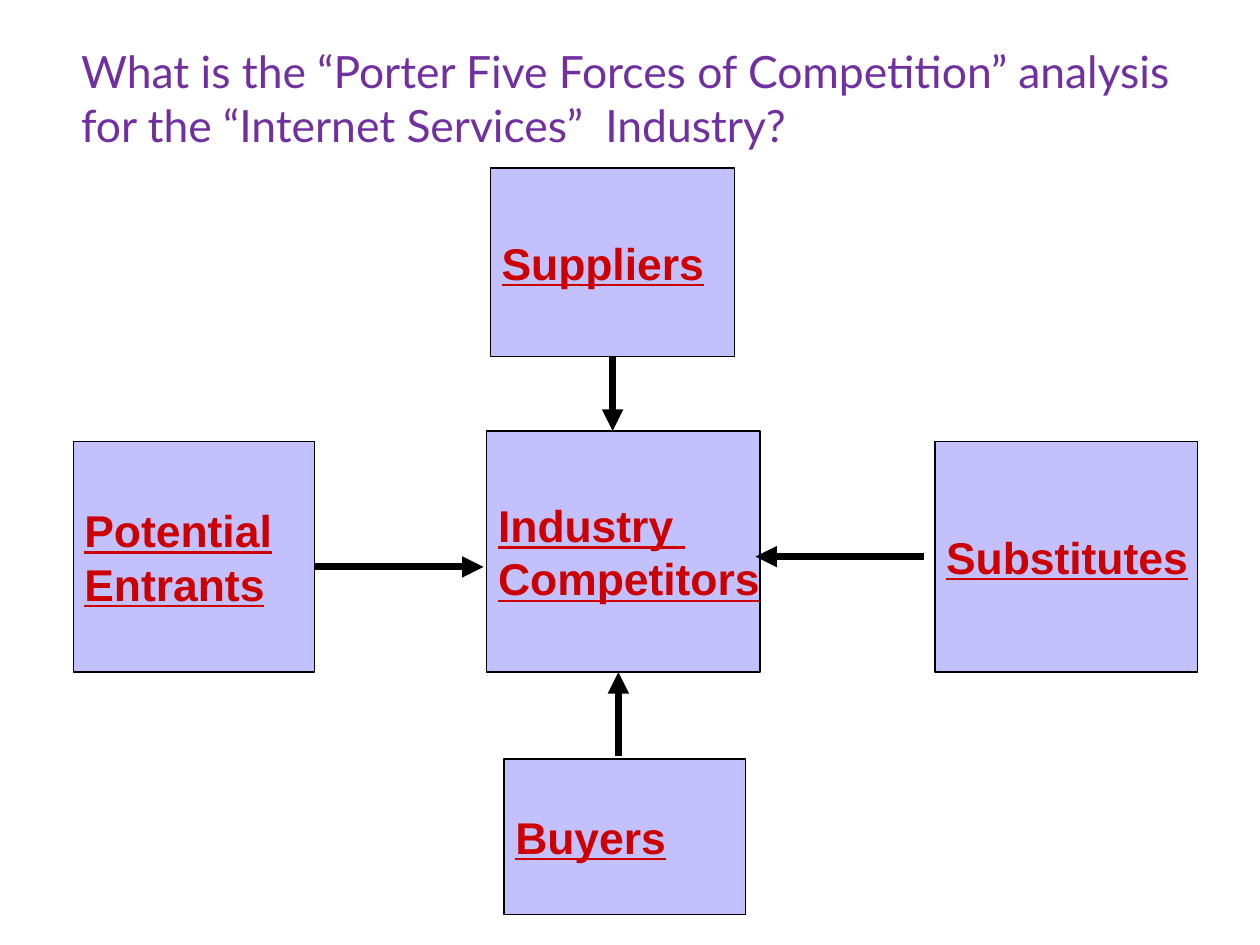
from lxml import etree
from pptx import Presentation
from pptx.dml.color import RGBColor
from pptx.enum import shapes, text
from pptx.oxml import ns
from pptx.util import Inches, Pt


def color(code):
    return RGBColor.from_string(code)


def write(frame, lines, look):
    frame.text = "\n".join(lines)
    for para in frame.paragraphs:
        para.alignment = text.PP_ALIGN.LEFT
        for run in para.runs:
            run.font.color.rgb = color(look["color"])
            for name, value in look["font"].items():
                setattr(run.font, name, value)


# Page of 280 by 210 mm
deck = Presentation()
deck.slide_width, deck.slide_height = Inches(280 / 25.4), Inches(210 / 25.4)
slide = deck.slides.add_slide(deck.slide_layouts[6])

heading = {"color": "7030A0", "font": {"name": "Lato", "size": Pt(28)}}
label = {"color": "CC0000", "font": {
    "name": "Arial", "size": Pt(28), "bold": True, "underline": True}}

# Title
title = slide.shapes.add_textbox(*map(Inches, (0.6, 0.19, 10.24, 1.19))).text_frame
layout = {"word_wrap": True, "vertical_anchor": text.MSO_ANCHOR.BOTTOM,
          "margin_left": Inches(0.11), "margin_right": Inches(0.11),
          "margin_top": Inches(0.06), "margin_bottom": Inches(0.06)}
for name, value in layout.items():
    setattr(title, name, value)
write(title, ["What is the “Porter Five Forces of Competition” analysis "
              "for the “Internet Services”  Industry?"], heading)

# Five forces
forces = [
    (["Industry ", "Competitors"], (4.26, 3.77, 2.39, 2.11)),
    (["Suppliers"], (4.29, 1.47, 2.14, 1.65)),
    (["Substitutes"], (8.18, 3.86, 2.3, 2.02)),
    (["Buyers"], (4.41, 6.64, 2.11, 1.36)),
    (["Potential", "Entrants"], (0.64, 3.86, 2.11, 2.02)),
]
for lines, place in forces:
    box = slide.shapes.add_shape(shapes.MSO_SHAPE.RECTANGLE, *map(Inches, place))
    box.shadow.inherit = False
    box.fill.solid()
    box.fill.fore_color.rgb = color("C3C0FE")
    box.line.color.rgb = color("000000")
    box.line.width = Pt(0.75)
    box.text_frame.word_wrap = False
    box.text_frame.vertical_anchor = text.MSO_ANCHOR.MIDDLE
    write(box.text_frame, lines, label)

# Arrows toward the centre
arrows = [
    (5.36, 3.12, 5.36, 3.77),
    (5.41, 6.61, 5.41, 5.88),
    (2.76, 4.96, 4.23, 4.96),
    (8.08, 4.87, 6.61, 4.87),
]
for ends in arrows:
    arrow = slide.shapes.add_connector(
        shapes.MSO_CONNECTOR.STRAIGHT, *map(Inches, ends))
    arrow.line.color.rgb = color("000000")
    arrow.line.width = Pt(4.5)
    props = arrow.element.spPr
    etree.SubElement(props.find(ns.qn("a:ln")), ns.qn("a:tailEnd"), type="triangle")
    etree.SubElement(props, ns.qn("a:effectLst"))

deck.save("out.pptx")
